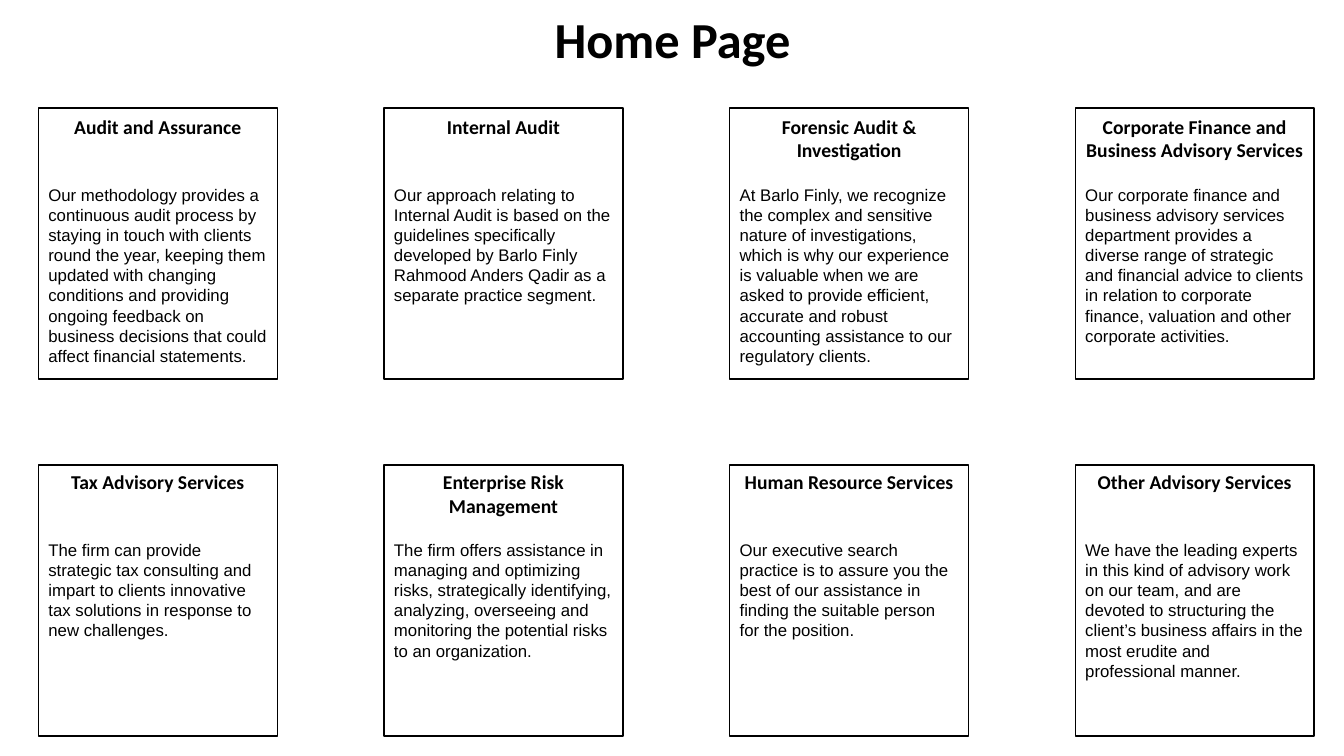
import pptx
import pptx.util
import pptx.dml.color
import pptx.enum.shapes
import pptx.enum.text

Cm = pptx.util.Cm
ALIGN = pptx.enum.text.PP_ALIGN
BLACK = "000000"
WHITE = "FFFFFF"

SERVICE_ROWS = [
    (2.72, 0.05, [
        ("Audit and Assurance", 1,
         "Our methodology provides a continuous audit process by staying in touch with clients "
         "round the year, keeping them updated with changing conditions and providing ongoing "
         "feedback on business decisions that could affect financial statements.", 9),
        ("Internal Audit", 1,
         "Our approach relating to Internal Audit is based on the guidelines specifically "
         "developed by Barlo Finly Rahmood Anders Qadir as a separate practice segment.", 6),
        ("Forensic Audit & Investigation", 2,
         "At Barlo Finly, we recognize the complex and sensitive nature of investigations, which "
         "is why our experience is valuable when we are asked to provide efficient, accurate and "
         "robust accounting assistance to our regulatory clients.", 9),
        ("Corporate Finance and Business Advisory Services", 2,
         "Our corporate finance and business advisory services department provides a diverse "
         "range of strategic and financial advice to clients in relation to corporate finance, "
         "valuation and other corporate activities.", 8),
    ]),
    (11.72, 0, [
        ("Tax Advisory Services", 1,
         "The firm can provide strategic tax consulting and impart to clients innovative tax "
         "solutions in response to new challenges.", 5),
        ("Enterprise Risk Management", 2,
         "The firm offers assistance in managing and optimizing risks, strategically identifying, "
         "analyzing, overseeing and monitoring the potential risks to an organization.", 6),
        ("Human Resource Services", 1,
         "Our executive search practice is to assure you the best of our assistance in finding "
         "the suitable person for the position.", 5),
        ("Other Advisory Services", 1,
         "We have the leading experts in this kind of advisory work on our team, and are devoted "
         "to structuring the client’s business affairs in the most erudite and professional "
         "manner.", 7),
    ]),
]


def colour(value):
    return pptx.dml.color.RGBColor.from_string(value)


def write(holder, text, font_name, size, bold, align, wrap):
    frame = holder.text_frame
    frame.word_wrap = wrap
    frame.auto_size = pptx.enum.text.MSO_AUTO_SIZE.SHAPE_TO_FIT_TEXT
    frame.vertical_anchor = pptx.enum.text.MSO_ANCHOR.TOP
    paragraph = frame.paragraphs[0]
    paragraph.alignment = align
    run = paragraph.add_run()
    run.text = text
    run.font.name = font_name
    run.font.size = pptx.util.Pt(size)
    run.font.bold = bold
    run.font.color.rgb = colour(BLACK)


def place_title(slide, left, top, width, height):
    title = slide.shapes.title
    title.left, title.top, title.width, title.height = map(Cm, (left, top, width, height))
    write(title, "Home Page", "Calibri", 36, True, ALIGN.LEFT, False)


def add_service_card(slide, left, top, width, height, text_offset, service):
    heading, heading_lines, description, description_lines = service
    border = slide.shapes.add_shape(pptx.enum.shapes.MSO_SHAPE.RECTANGLE,
                                    Cm(left), Cm(top), Cm(width), Cm(height))
    border.shadow.inherit = False
    border.fill.solid()
    border.fill.fore_color.rgb = colour(WHITE)
    border.line.color.rgb = colour(BLACK)
    border.line.width = pptx.util.Pt(1)

    heading_top = top + text_offset
    heading_box = slide.shapes.add_textbox(Cm(left), Cm(heading_top), Cm(width),
                                           Cm(0.25 + 0.6 * heading_lines))
    write(heading_box, heading, "Calibri", 14, True, ALIGN.CENTER, True)
    description_box = slide.shapes.add_textbox(Cm(left), Cm(heading_top + 1.75), Cm(width),
                                               Cm(0.25 + 0.51 * description_lines))
    write(description_box, description, "Arial", 12, False, ALIGN.LEFT, True)


def add_service_row(slide, left, top, pitch, text_offset, services):
    for column, service in enumerate(services):
        add_service_card(slide, left + column * pitch, top, 6.02, 6.83, text_offset, service)


def main():
    presentation = pptx.Presentation()
    presentation.slide_width = Cm(33.87)
    presentation.slide_height = Cm(19.05)
    slide = presentation.slides.add_slide(presentation.slide_layouts[5])
    place_title(slide, 13.72, 0.08, 6.53, 1.8)
    for top, text_offset, services in SERVICE_ROWS:
        add_service_row(slide, 0.97, top, 8.71, text_offset, services)
    presentation.save("out.pptx")


if __name__ == "__main__":
    main()
